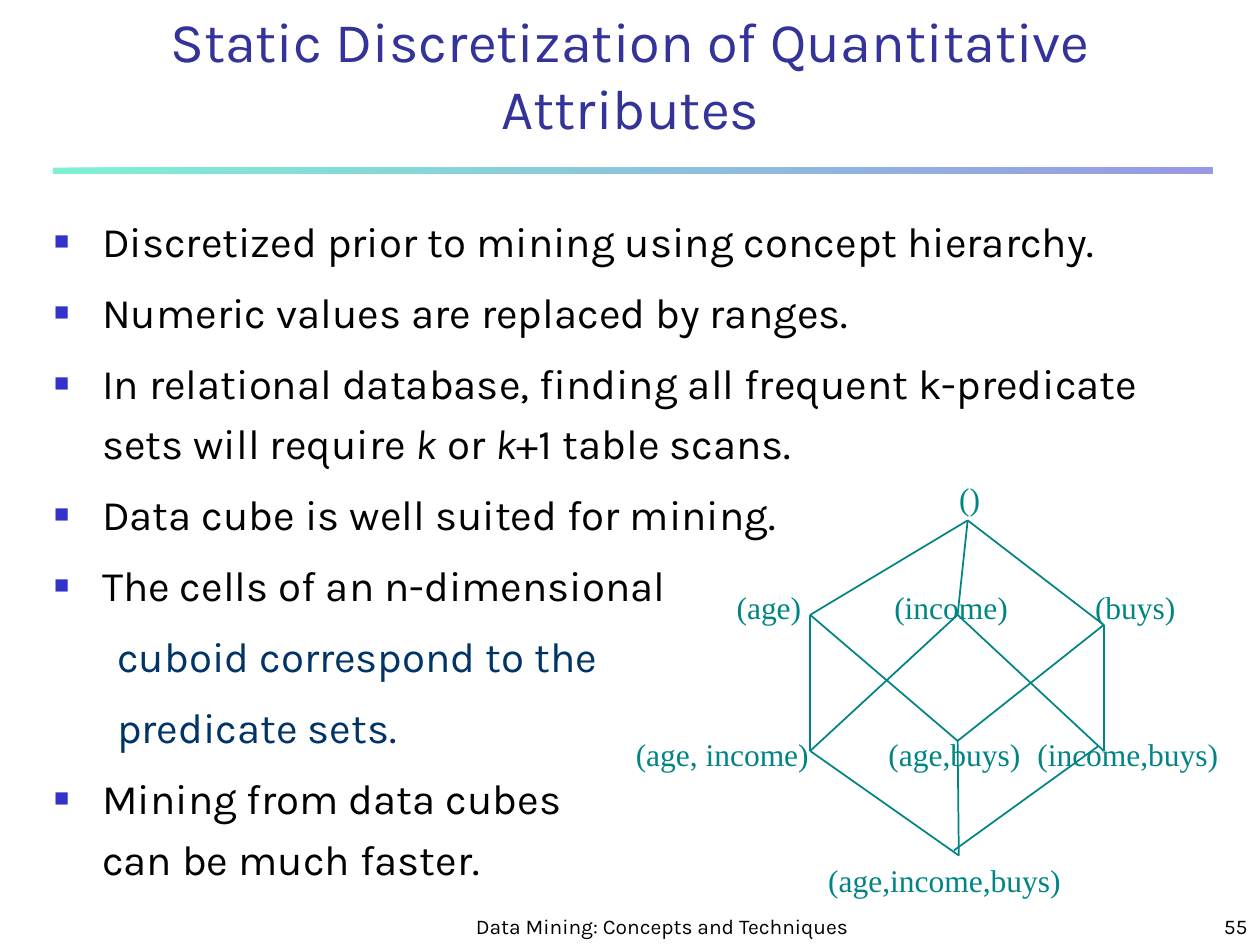
from itertools import permutations

from lxml.etree import SubElement
from pptx import Presentation
from pptx.dml.color import RGBColor
from pptx.enum.shapes import MSO_CONNECTOR as Conn, MSO_SHAPE as Shape
from pptx.enum.text import MSO_ANCHOR as Anchor, MSO_AUTO_SIZE as Auto, PP_ALIGN as Align
from pptx.oxml.ns import qn
from pptx.util import Inches, Pt

SANS, SERIF = "Karla", "Times New Roman"
BLACK, NAVY, TEAL = "000000", "003366", "008484"
TITLE, BLUE, GREEN = "333399", "3333CC", "00E4A8"


def color(code):
    return RGBColor.from_string(code)


def place(shape, box):
    shape.left, shape.top, shape.width, shape.height = map(Inches, box)


def style(para, size, code, face=SANS, align=None):
    para.alignment = align
    para.font.size, para.font.name = Pt(size), face
    para.font.color.rgb = color(code)


def add_title(slide, box):
    title = slide.shapes.title
    place(title, box)
    frame = title.text_frame
    frame.text = "Static Discretization of Quantitative Attributes"
    frame.auto_size, frame.vertical_anchor = Auto.NONE, Anchor.BOTTOM
    style(frame.paragraphs[0], 32, TITLE, align=Align.CENTER)


def add_rule(slide, box):
    bar = slide.shapes.add_shape(Shape.RECTANGLE, *map(Inches, box))
    bar.shadow.inherit = False
    bar.line.fill.background()
    bar.fill.gradient()
    bar.fill.gradient_angle = 0
    for stop, code in zip(bar.fill.gradient_stops, (GREEN, BLUE)):
        stop.color.rgb = color(code)
    for node in bar._element.spPr.iter(qn("a:srgbClr")):
        SubElement(node, qn("a:alpha"), val="50000")


def set_bullet(para, left, hang, mark=None):
    props = para._p.get_or_add_pPr()
    props.set("marL", str(Inches(left)))
    props.set("indent", str(Inches(-hang)))
    if not mark:
        SubElement(props, qn("a:buNone"))
        return
    tint = SubElement(props, qn("a:buClr"))
    SubElement(tint, qn("a:srgbClr"), val=BLUE)
    SubElement(props, qn("a:buSzPct"), val="60000")
    SubElement(props, qn("a:buChar"), char=mark)


def add_list(slide, box):
    """Fill the body; each item is a level and its runs, every second run italic."""
    items = [
        (0, ["Discretized prior to mining using concept hierarchy."]),
        (0, ["Numeric values are replaced by ranges."]),
        (0, ["In relational database, finding all frequent k-predicate sets will require ",
             "k", " or ", "k", "+1 table scans."]),
        (0, ["Data cube is well suited for mining."]),
        (0, ["The cells of an n-dimensional"]),
        (1, ["cuboid correspond to the"]),
        (1, ["predicate sets."]),
        (0, ["Mining from data cubes\vcan be much faster."]),
    ]
    body = slide.placeholders[1]
    place(body, box)
    frame = body.text_frame
    frame.auto_size = Auto.NONE
    for n, (level, runs) in enumerate(items):
        para = frame.add_paragraph() if n else frame.paragraphs[0]
        para.level = level
        para.line_spacing, para.space_before = 1.2, Pt(6 if n else 0)
        if level:
            set_bullet(para, 0.81, 0.31)
        else:
            set_bullet(para, 0.38, 0.38, "■")
        if len(runs) == 1:
            para.text = runs[0]
        else:
            for k, text in enumerate(runs):
                run = para.add_run()
                run.text = text
                run.font.italic = k % 2 == 1
        style(para, 24, NAVY if level else BLACK)


def add_text(slide, box, text, align):
    shape = slide.shapes.add_textbox(*map(Inches, box))
    frame = shape.text_frame
    frame.word_wrap, frame.vertical_anchor = True, Anchor.BOTTOM
    frame.text = text
    style(frame.paragraphs[0], 12, BLACK, align=align)


def add_edge(slide, start, end):
    line = slide.shapes.add_connector(Conn.STRAIGHT, *map(Inches, start + end))
    line.line.color.rgb, line.line.width = color(TEAL), Pt(1)
    SubElement(line._element.spPr, qn("a:effectLst"))


def add_label(slide, box, text):
    shape = slide.shapes.add_textbox(*map(Inches, box))
    frame = shape.text_frame
    frame.margin_left = frame.margin_right = frame.margin_top = frame.margin_bottom = 0
    frame.word_wrap, frame.auto_size = False, Auto.NONE
    frame.text = text
    style(frame.paragraphs[0], 18, TEAL, SERIF, Align.RIGHT)


def add_lattice(slide, left, top):
    """Join each predicate set to the sets that hold one more predicate."""
    # set: (node x, y), (label x, y, width), label
    nodes = {
        "": ((2.64, 0.38), (2.44, 0.05, 0.3), "()"),
        "a": ((1.39, 1.13), (0.72, 0.92, 0.6), "(age)"),
        "i": ((2.56, 1.13), (1.96, 0.92, 1), "(income)"),
        "b": ((3.72, 1.21), (3.59, 0.92, 0.7), "(buys)"),
        "ai": ((1.39, 2.21), (-0.07, 2.08, 1.45), "(age, income)"),
        "ab": ((2.56, 2.13), (1.96, 2.08, 1.1), "(age,buys)"),
        "ib": ((3.72, 2.21), (3.13, 2.08, 1.5), "(income,buys)"),
        "aib": ((2.57, 3.04), (1.48, 3.08, 1.9), "(age,income,buys)"),
    }
    for low, high in permutations(nodes, 2):
        if set(low) < set(high) and len(high) == len(low) + 1:
            shift = 0.04 if low == "ib" else 0
            start, end = [(left + x - shift, top + y - shift)
                          for x, y in (nodes[low][0], nodes[high][0])]
            add_edge(slide, start, end)
    for _, (x, y, width), text in nodes.values():
        add_label(slide, (left + x, top + y, width, 0.3), text)


def main():
    deck = Presentation()
    deck.slide_width, deck.slide_height = Inches(10), Inches(7.5)
    slide = deck.slides.add_slide(deck.slide_layouts[1])
    add_rule(slide, (0.42, 1.33, 9.2, 0.05))
    add_text(slide, (3.67, 7.08, 3.17, 0.42), "Data Mining: Concepts and Techniques", Align.CENTER)
    add_text(slide, (7.92, 7.08, 2.08, 0.42), "55", Align.RIGHT)
    add_title(slide, (0.42, 0.42, 9.17, 0.75))
    add_list(slide, (0.33, 1.58, 9.25, 5.67))
    add_lattice(slide, 5.04, 3.75)
    deck.save("out.pptx")


if __name__ == "__main__":
    main()
